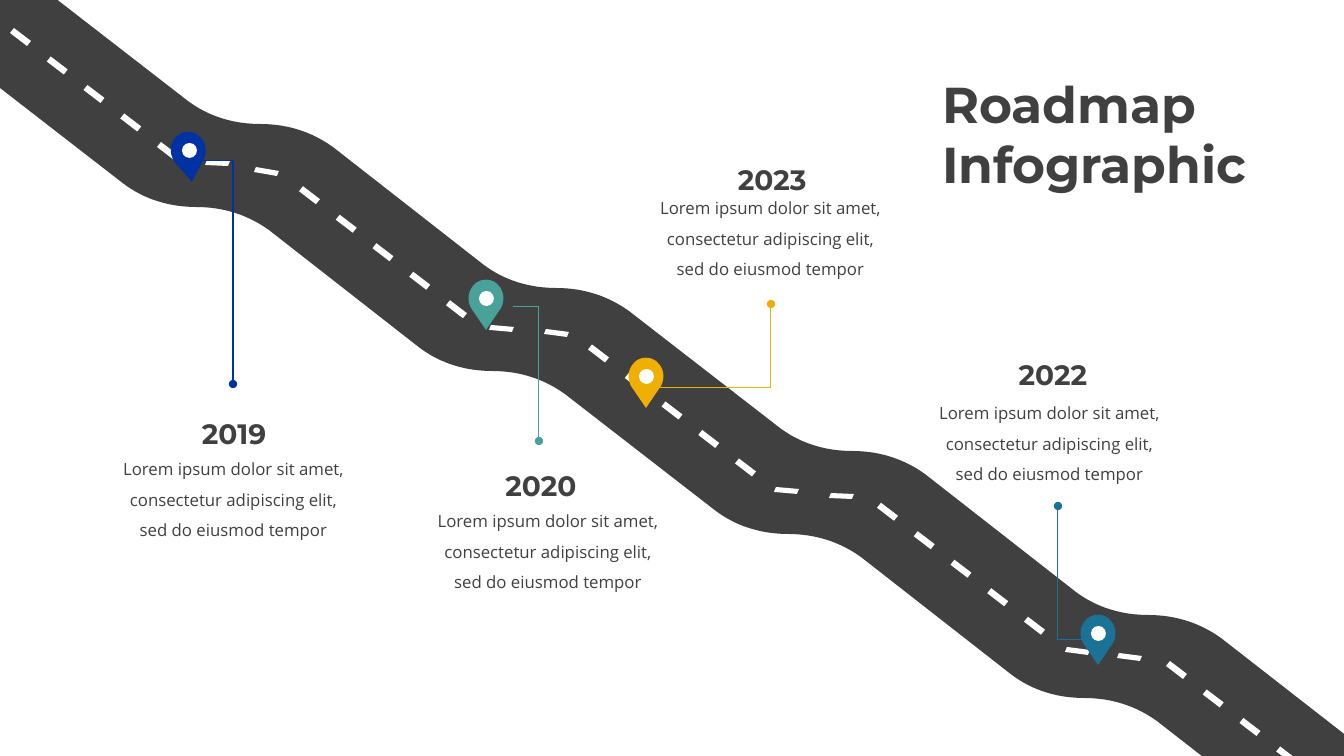
from typing import NamedTuple

from lxml import etree
from pptx import Presentation
from pptx.dml.color import RGBColor
from pptx.enum.shapes import MSO_CONNECTOR, MSO_SHAPE
from pptx.enum.text import MSO_ANCHOR, MSO_AUTO_SIZE, PP_ALIGN
from pptx.oxml.ns import qn
from pptx.util import Pt

PX = 914400 / 100.8
STRAIGHT = MSO_CONNECTOR.STRAIGHT
OVAL = MSO_SHAPE.OVAL
TOP = MSO_ANCHOR.TOP
GROW = MSO_AUTO_SIZE.SHAPE_TO_FIT_TEXT
FIXED = MSO_AUTO_SIZE.NONE
LEFT, CENTER = PP_ALIGN.LEFT, PP_ALIGN.CENTER

DARK, WHITE = "404040", "FFFFFF"
HEADING_FONT, BODY_FONT = "Montserrat", "Open Sans"
DESCRIPTION = ("Lorem ipsum dolor sit amet, consectetur adipiscing elit, "
               "sed do eiusmod tempor")

ROAD_START, ROAD_END = (6, -40), (1402, 779)
ROAD_ACROSS = (-64, 83)
BEND = [(188, 101), (208, 116), (233, 124), (260, 124),
        (288, 124), (312, 132), (333, 147)]
DASHES_PER_RUN = [5, 5, 5, 5, 4]
BEND_DASHES = [(205, 165, 1), (254, 172, 4), (489, 330, 2), (544, 334, 3),
               (774, 492, 2), (829, 498, 1), (1065, 652, 3), (1117, 658, 3)]
PIN_HEAD = [(3, 28), (-1, 20), (0, 11), (6, 5), (12, -2), (24, -2),
            (30, 5), (36, 11), (37, 20), (33, 28)]
PIN_TIP = (18, 50)


class Milestone(NamedTuple):
    """One year on the road with its pin, leader line and text."""
    year: str
    color: str
    pin: tuple
    tilt: float
    corner: tuple
    dot_y: int
    branch_x: int
    heading_box: tuple
    heading_align: PP_ALIGN
    body_box: tuple


MILESTONES = [
    Milestone("2019", "0032A3", (171, 132), -6.6, (233, 161), 384, 200,
              (91, 395, 286, 56), CENTER, (108, 444, 251, 99)),
    Milestone("2020", "48A299", (468, 280), 0, (539, 307), 441, 513,
              (398, 447, 286, 56), CENTER, (420, 496, 256, 99)),
    Milestone("2022", "1A7396", (1080, 615), 0, (1058, 640), 506, 1086,
              (910, 336, 286, 56), CENTER, (924, 388, 251, 99)),
    Milestone("2023", "EFAF05", (628, 358), 0, (771, 388), 304, 653,
              (728, 141, 118, 56), LEFT, (644, 183, 253, 99)),
]


def emu(*lengths):
    """Turn px lengths into EMU."""
    return [round(length * PX) for length in lengths]


def rgb(color):
    """Turn a hex string into a colour."""
    return RGBColor.from_string(color)


def shift(points, dx, dy):
    """Move points by a px offset."""
    return [(x + dx, y + dy) for x, y in points]


def curve(points, steps=12):
    """Sample a chain of cubic Bezier curves."""
    sampled = [points[0]]
    for first in range(0, len(points) - 1, 3):
        a, b, c, d = points[first:first + 4]
        for step in range(1, steps + 1):
            t = step / steps
            u = 1 - t
            weights = (u ** 3, 3 * u * u * t, 3 * u * t * t, t ** 3)
            sampled.append(tuple(
                sum(w * p[axis] for w, p in zip(weights, (a, b, c, d)))
                for axis in (0, 1)))
    return sampled


def paint(shape, color):
    """Give a shape a plain fill without line or shadow."""
    shape.shadow.inherit = False
    shape.fill.solid()
    shape.fill.fore_color.rgb = rgb(color)
    shape.line.fill.background()


def add_outline(shapes, points, color):
    """Draw a filled polygon through px points."""
    corners = [tuple(emu(*point)) for point in points]
    builder = shapes.build_freeform(*corners[0])
    builder.add_line_segments(corners[1:], close=True)
    outline = builder.convert_to_shape()
    paint(outline, color)
    return outline


def add_road(shapes):
    """Draw the winding road and its dashed centre line."""
    edge = [ROAD_START]
    for bend in range(4):
        edge += curve(shift(BEND, 296 * bend, round(491 * bend / 3)))
    edge.append(ROAD_END)
    add_outline(shapes, edge + shift(edge, *ROAD_ACROSS)[::-1], DARK)

    sloped = [(0, 0), (4, -5), (21, 8), (17, 13)]
    for run, count in enumerate(DASHES_PER_RUN):
        for dash in range(count):
            x = 10 + 289 * run + 147 * dash / 4
            y = 33 + 633 * run / 4 + 114 * dash / 4
            add_outline(shapes, shift(sloped, x, y), WHITE)
    for x, y, drop in BEND_DASHES:
        flat = [(0, 0), (2, -5), (25, drop - 5), (23, drop)]
        add_outline(shapes, shift(flat, x, y), WHITE)


def add_line(shapes, start, end, color, dotted_end=False):
    """Draw a thin straight line, with a dot at its end if asked."""
    line = shapes.add_connector(STRAIGHT, *emu(*start), *emu(*end))
    line.line.color.rgb = rgb(color)
    line.line.width = Pt(0.75)
    if dotted_end:
        etree.SubElement(line.line._get_or_add_ln(), qn("a:tailEnd"), type="oval")
    etree.SubElement(line._element.spPr, qn("a:effectLst"))


def add_pin(shapes, left, top, tilt, color):
    """Draw a map pin with a white hole."""
    pin = add_outline(shapes, shift([PIN_TIP] + curve(PIN_HEAD), left, top), color)
    pin.rotation = tilt
    hole = shapes.add_shape(OVAL, *emu(left + 11, top + 11, 15, 15))
    paint(hole, WHITE)


def style_text(frame, text, font, size, bold, align):
    """Fill a text frame with one formatted paragraph."""
    frame.text = text
    frame.word_wrap = True
    frame.vertical_anchor = TOP
    paragraph = frame.paragraphs[0]
    paragraph.alignment = align
    for run in paragraph.runs:
        run.font.name = font
        run.font.size = Pt(size)
        run.font.bold = bold
        run.font.color.rgb = rgb(DARK)


def add_text(shapes, box, text, font, size, bold=False, align=CENTER):
    """Add a text box with wide line spacing."""
    frame = shapes.add_textbox(*emu(*box)).text_frame
    style_text(frame, text, font, size, bold, align)
    frame.auto_size = GROW
    frame.paragraphs[0].line_spacing = 1.5


def add_milestone(shapes, stop):
    """Draw one milestone's leader line, pin and text."""
    add_line(shapes, stop.corner, (stop.corner[0], stop.dot_y), stop.color, True)
    add_line(shapes, (stop.branch_x, stop.corner[1]), stop.corner, stop.color)
    add_pin(shapes, *stop.pin, stop.tilt, stop.color)
    add_text(shapes, stop.body_box, DESCRIPTION, BODY_FONT, 12)
    add_text(shapes, stop.heading_box, stop.year, HEADING_FONT, 20, True,
             stop.heading_align)


def set_title(title):
    """Place and format the slide title."""
    title.left, title.top, title.width, title.height = emu(932, 68, 411, 132)
    style_text(title.text_frame, "Roadmap Infographic", HEADING_FONT, 36, True, LEFT)
    title.text_frame.auto_size = FIXED


def main():
    """Build the slide and save it."""
    deck = Presentation()
    deck.slide_width, deck.slide_height = emu(1344, 756)
    slide = deck.slides.add_slide(deck.slide_layouts[5])
    set_title(slide.shapes.title)
    add_road(slide.shapes.add_group_shape().shapes)
    for stop in MILESTONES:
        add_milestone(slide.shapes, stop)
    deck.save("out.pptx")


if __name__ == "__main__":
    main()
